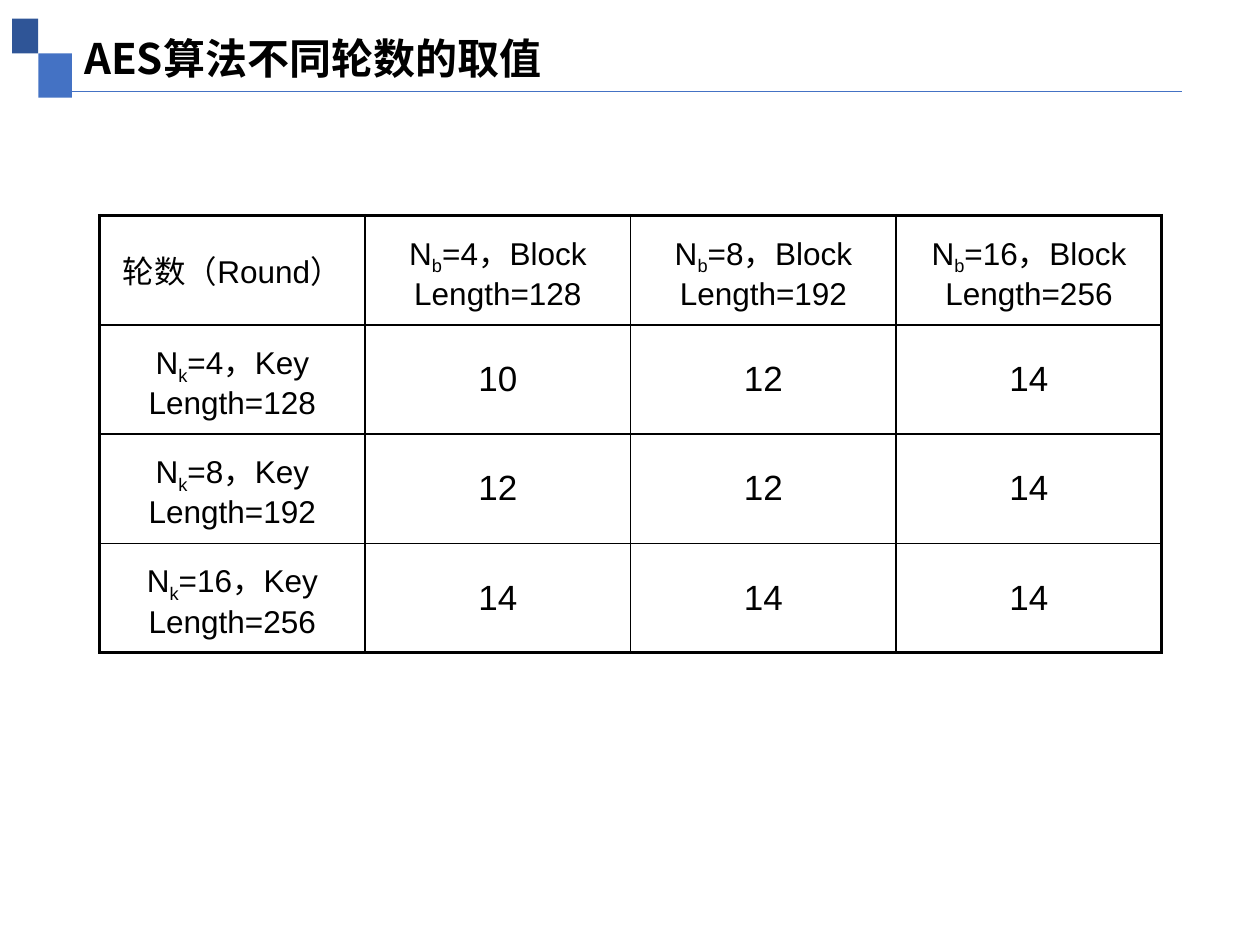
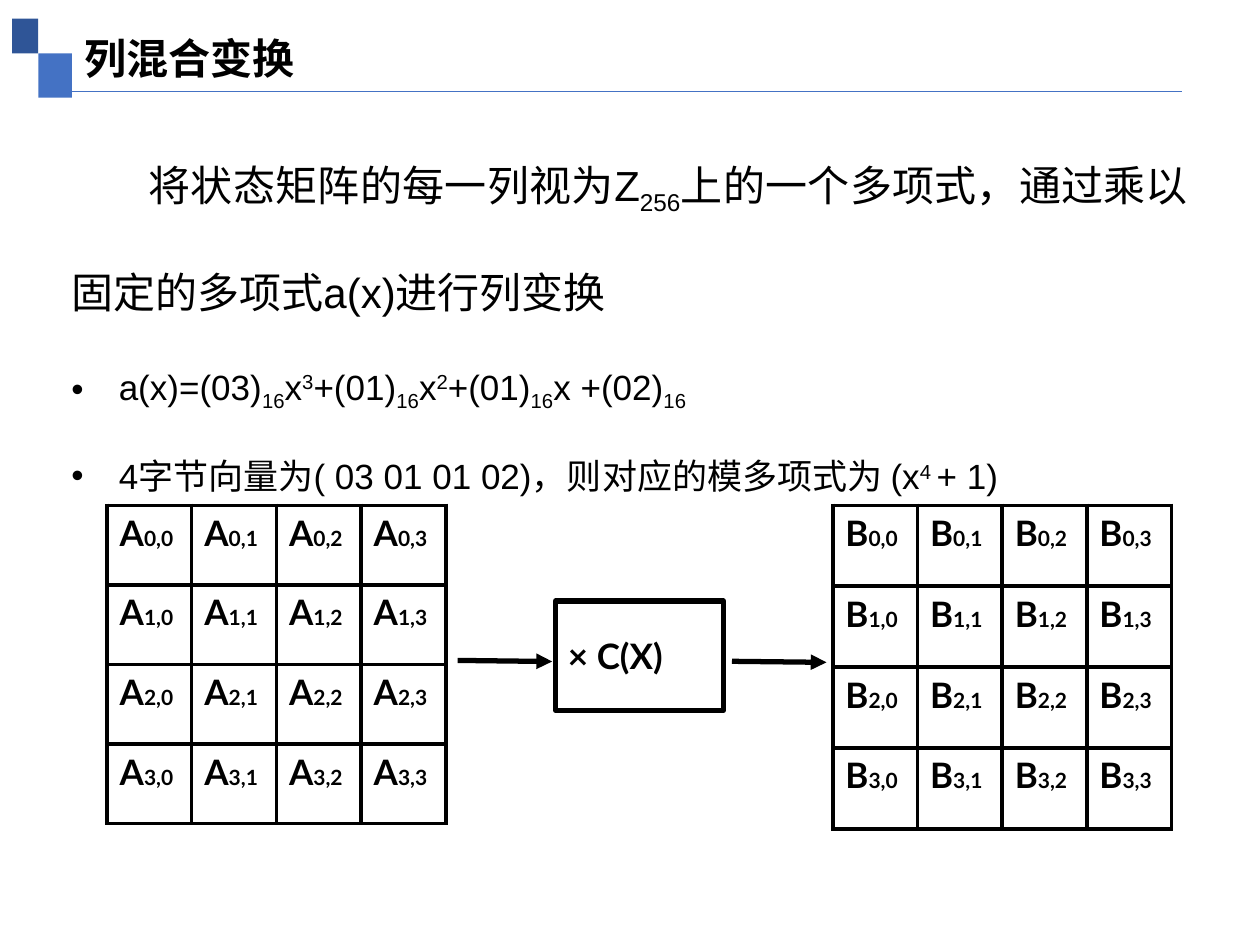
from lxml import etree
from pptx import Presentation
from pptx.dml.color import RGBColor
from pptx.enum import shapes, text
from pptx.oxml import ns
from pptx.util import Pt

BLACK = RGBColor(0x00, 0x00, 0x00)
WHITE = RGBColor(0xFF, 0xFF, 0xFF)
BLUE = RGBColor(0x44, 0x72, 0xC4)
NAVY = RGBColor(0x2F, 0x55, 0x97)

BODY, CJK, MATRIX = "Arial", "Noto Sans CJK SC", "Lato"
SUB, SUP = -25000, 30000
THIN, THICK = 1, 2.25


def child(parent, tag, **attrs):
    return etree.SubElement(parent, ns.qn(tag), attrs)


def add_run(p, words, size, font=BODY, bold=False, baseline=0):
    r = p.add_run()
    r.text = words
    r.font.size, r.font.name, r.font.bold = Pt(size), font, bold
    r.font.color.rgb = BLACK
    rPr = r.font._element
    child(rPr, "a:ea", typeface=CJK)
    if baseline:
        rPr.set("baseline", str(baseline))


def add_runs(p, parts, size):
    """Parts are plain strings or (words, baseline) pairs."""
    for part in parts:
        words, baseline = (part, 0) if isinstance(part, str) else part
        add_run(p, words, size, baseline=baseline)


def add_text_box(s, box):
    tf = s.shapes.add_textbox(*map(Pt, box)).text_frame
    tf.word_wrap = True
    tf.auto_size = text.MSO_AUTO_SIZE.SHAPE_TO_FIT_TEXT
    return tf


def add_rect(s, box, fill, line_width=0):
    sp = s.shapes.add_shape(shapes.MSO_SHAPE.RECTANGLE, *map(Pt, box))
    sp.shadow.inherit = False
    sp.fill.solid()
    sp.fill.fore_color.rgb = fill
    if line_width:
        sp.line.color.rgb, sp.line.width = BLACK, Pt(line_width)
    else:
        sp.line.fill.background()
    return sp


def add_line(s, x1, y1, x2, y2, color, width, arrow=False):
    c = s.shapes.add_connector(shapes.MSO_CONNECTOR.STRAIGHT,
                               Pt(x1), Pt(y1), Pt(x2), Pt(y2))
    c.line.color.rgb, c.line.width = color, Pt(width)
    if arrow:
        child(c.line._get_or_add_ln(), "a:tailEnd", type="triangle")
    child(c._element.spPr, "a:effectLst")


def add_grid(s, box, rows, cols, outer, inner):
    """Add an unfilled table with ruled borders; return it."""
    table = s.shapes.add_table(rows, cols, *map(Pt, box)).table
    table.first_row = table.horz_banding = False
    for col in table.columns:
        col.width = Pt(box[2] / cols)
    for i, row in enumerate(table.rows):
        row.height = Pt(box[3] / rows)
        for j, cell in enumerate(row.cells):
            tcPr = cell._tc.get_or_add_tcPr()
            edges = {"L": j == 0, "R": j == cols - 1,
                     "T": i == 0, "B": i == rows - 1}
            for side, is_outer in edges.items():
                ln = child(tcPr, "a:ln" + side,
                           w=str(Pt(outer if is_outer else inner)))
                child(child(ln, "a:solidFill"), "a:srgbClr", val=str(BLACK))
            cell.fill.background()
    return table


def new_slide(prs, title):
    """Blank slide with the corner squares, title and rule."""
    s = prs.slides.add_slide(prs.slide_layouts[6])
    add_rect(s, (21.9, 30.5, 19.2, 25.3), BLUE)
    add_rect(s, (7, 10.7, 14.9, 19.8), NAVY)
    tf = add_text_box(s, (41, 15.1, 638, 36))
    add_run(tf.paragraphs[0], title, 24, CJK, bold=True)
    add_line(s, 36.7, 52.4, 675.4, 52.4, BLUE, 0.5)
    return s


def rounds_table(s, box):
    """Number of rounds for each block and key length."""
    sizes = [(4, 128), (8, 192), (16, 256)]
    rounds = [[10, 12, 14], [12, 12, 14], [14, 14, 14]]

    def heading(letter, noun, n, length):
        return ["N", (letter, SUB), f"={n}，{noun} Length={length}"]

    content = [[["轮数（Round）"]] + [heading("b", "Block", *z) for z in sizes]]
    for z, values in zip(sizes, rounds):
        content.append([heading("k", "Key", *z)] + [[str(v)] for v in values])

    table = add_grid(s, box, 4, 4, THICK, THIN)
    for i, row in enumerate(content):
        for j, parts in enumerate(row):
            cell = table.cell(i, j)
            cell.vertical_anchor = text.MSO_ANCHOR.MIDDLE
            size = 20 if i and j else 18
            p = cell.text_frame.paragraphs[0]
            p.alignment = text.PP_ALIGN.CENTER
            p.space_before = Pt(0.2 * size)
            add_runs(p, parts, size)


def explanation(s, box):
    """Indented introduction followed by two bullets."""
    intro = ["将状态矩阵的每一列视为Z", ("256", SUB),
             "上的一个多项式，通过乘以固定的多项式a(x)进行列变换"]
    hex_mark = ("16", SUB)
    polynomial = ["a(x)=(03)", hex_mark, "x", ("3", SUP), "+(01)", hex_mark,
                  "x", ("2", SUP), "+(01)", hex_mark, "x +(02)", hex_mark]
    modulus = ["4字节向量为( 03 01 01 02)，则对应的模多项式为 (x",
               ("4 ", SUP), "+ 1)"]

    tf = add_text_box(s, box)
    for n, parts in enumerate([intro, polynomial, modulus]):
        p = tf.add_paragraph() if n else tf.paragraphs[0]
        p.alignment = text.PP_ALIGN.JUSTIFY
        p.line_spacing = 2.0
        pPr = p._p.get_or_add_pPr()
        if n:
            pPr.set("marL", str(Pt(27)))
            pPr.set("indent", str(-Pt(27)))
            child(pPr, "a:buFont", typeface=BODY)
            child(pPr, "a:buChar", char="•")
        else:
            pPr.set("indent", str(Pt(44)))
        add_runs(p, parts, 20 if n else 24)


def state_matrix(s, box, letter):
    """4 x 4 matrix of indexed letters."""
    table = add_grid(s, box, 4, 4, THICK, THICK)
    for i in range(4):
        for j in range(4):
            p = table.cell(i, j).text_frame.paragraphs[0]
            p.space_before = Pt(4)
            add_run(p, letter, 20, MATRIX, bold=True)
            add_run(p, f"{i},{j}", 12, MATRIX, bold=True)


def multiply_step(s, box):
    """Multiplication box with an arrow in and an arrow out."""
    x, y, w, h = box
    arrow_y = y + 34
    add_line(s, x - 56, arrow_y, x - 2, arrow_y + 0.6, BLACK, 3, arrow=True)
    sp = add_rect(s, box, WHITE, line_width=3)
    tf = sp.text_frame
    tf.word_wrap = True
    tf.vertical_anchor = text.MSO_ANCHOR.MIDDLE
    p = tf.paragraphs[0]
    p.alignment = text.PP_ALIGN.LEFT
    add_run(p, "× C(X)", 20, MATRIX, bold=True)
    add_line(s, x + w + 5, arrow_y + 0.5, x + w + 59, arrow_y + 1.1,
             BLACK, 3, arrow=True)


def main():
    prs = Presentation()
    prs.slide_width, prs.slide_height = Pt(720), Pt(540)

    s = new_slide(prs, "AES算法不同轮数的取值")
    rounds_table(s, (56.9, 123.2, 607, 249.8))

    s = new_slide(prs, "列混合变换")
    explanation(s, (33.8, 54.7, 652.3, 213))
    state_matrix(s, (61.2, 288.7, 193.6, 182), "A")
    state_matrix(s, (475.9, 288.7, 193.6, 185), "B")
    multiply_step(s, (317.5, 343.4, 95.8, 62.6))

    prs.save("out.pptx")


if __name__ == "__main__":
    main()
